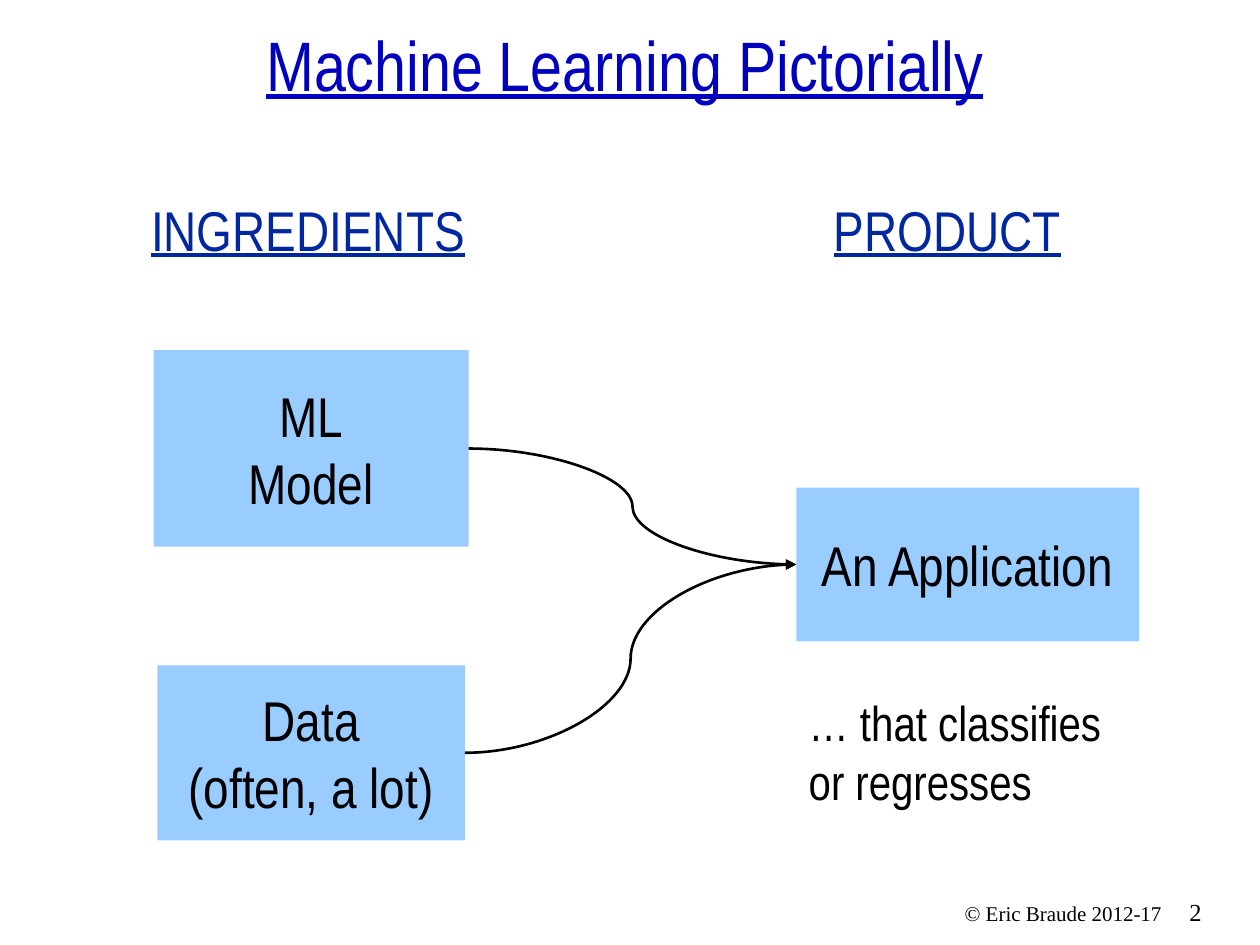
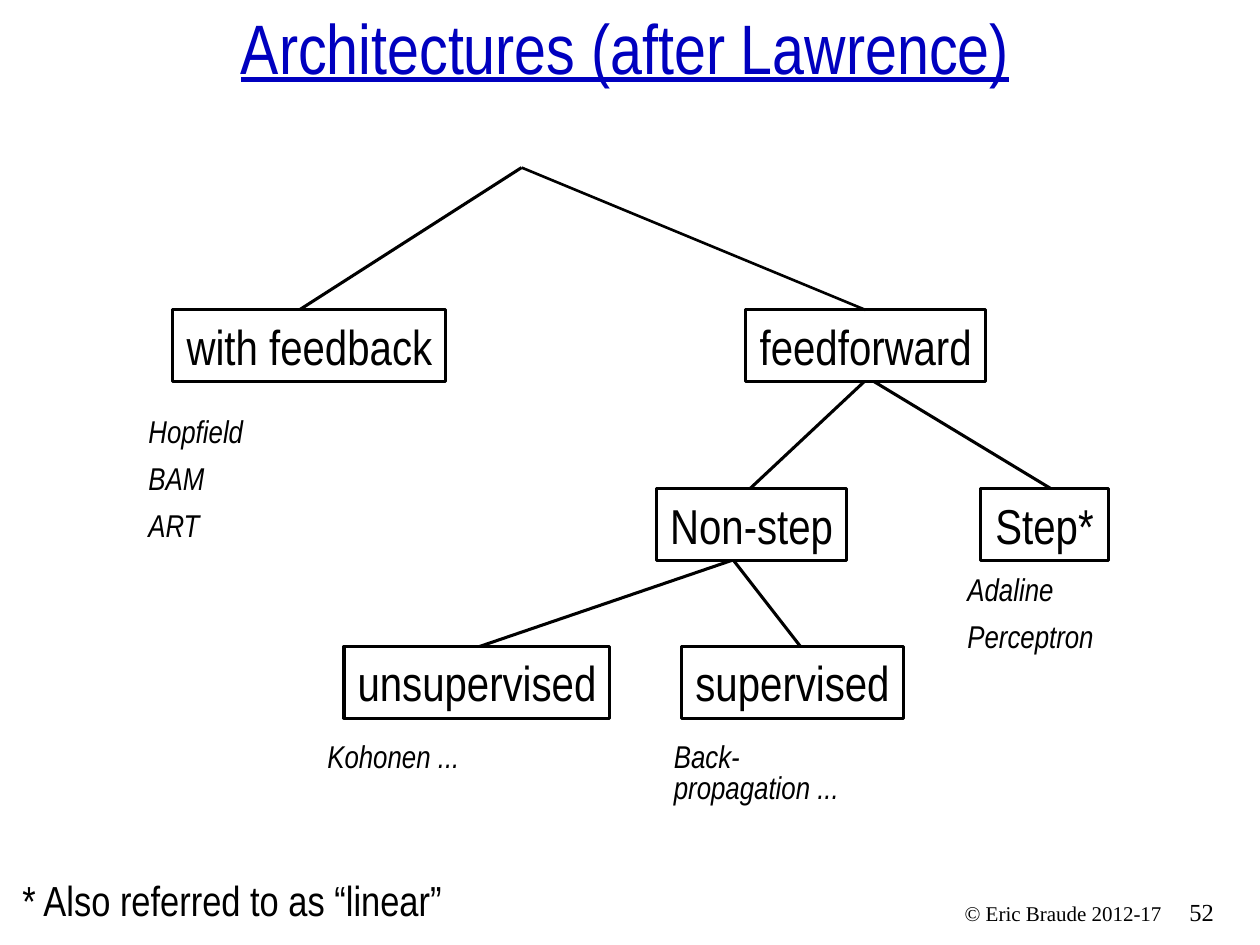
from lxml.etree import SubElement
from pptx import Presentation
from pptx.dml.color import RGBColor
from pptx.enum.shapes import MSO_CONNECTOR as LINK, MSO_SHAPE
from pptx.enum.text import MSO_ANCHOR as ANCHOR, MSO_AUTO_SIZE, PP_ALIGN as ALIGN
from pptx.oxml.ns import qn
from pptx.util import Inches, Pt

COLOURS = {
    "title": "0000BF",
    "heading": "00279F",
    "ink": "000000",
    "block": "99CCFF",
    "paper": "FFFFFF",
}
SANS, SERIF = "Arial Narrow", "Times New Roman"
LEFT_SITE, RIGHT_SITE = 1, 3


def rgb(name):
    """Return the named colour of the palette."""
    return RGBColor.from_string(COLOURS[name])


def write(frame, lines, size, colour="ink", face=SANS, align=ALIGN.LEFT,
          anchor=ANCHOR.TOP, wrap=True, underline=False, italic=False,
          spacing=None, gap=0):
    """Fill a text frame with one paragraph per line."""
    frame.auto_size = MSO_AUTO_SIZE.NONE
    frame.word_wrap = wrap
    frame.vertical_anchor = anchor
    frame.margin_left = frame.margin_right = Inches(0.1)
    frame.margin_top = frame.margin_bottom = Inches(0.05)
    for index, line in enumerate(lines):
        paragraph = frame.add_paragraph() if index else frame.paragraphs[0]
        paragraph.alignment = align
        if spacing:
            paragraph.line_spacing = spacing
        paragraph.space_before = Pt(gap if index else 0)
        run = paragraph.add_run()
        run.text = line
        font = run.font
        font.name, font.size = face, Pt(size)
        font.color.rgb = rgb(colour)
        if underline:
            font.underline = True
        if italic:
            font.italic = True


def add_text(slide, box, lines, size, **style):
    """Add a text box at the given left, top, width and height."""
    label = slide.shapes.add_textbox(*map(Inches, box))
    write(label.text_frame, lines, size, **style)


def add_block(slide, box, lines, size, fill, outline=None):
    """Add a filled rectangle with centred text."""
    block = slide.shapes.add_shape(MSO_SHAPE.RECTANGLE, *map(Inches, box))
    block.shadow.inherit = False
    block.fill.solid()
    block.fill.fore_color.rgb = rgb(fill)
    if outline:
        block.line.color.rgb = rgb("ink")
        block.line.width = Pt(outline)
    else:
        block.line.fill.background()
    write(block.text_frame, lines, size, align=ALIGN.CENTER,
          anchor=ANCHOR.MIDDLE, wrap=False)
    return block


def add_line(slide, kind, ends, width):
    """Add a plain black connector between two points."""
    line = slide.shapes.add_connector(kind, *map(Inches, ends))
    line.line.color.rgb = rgb("ink")
    line.line.width = Pt(width)
    SubElement(line._element.spPr, qn("a:effectLst"))
    return line


def add_arrow(slide, source, target):
    """Curve an arrow from the right of one block to the left of another."""
    arrow = add_line(slide, LINK.CURVE, (0, 0, 1, 1), 1.5)
    arrow.begin_connect(source, RIGHT_SITE)
    arrow.end_connect(target, LEFT_SITE)
    SubElement(arrow.line._get_or_add_ln(), qn("a:tailEnd"), type="triangle")


def add_page(deck, title, title_height, number):
    """Add a slide with its title, copyright line and page number."""
    slide = deck.slides.add_slide(deck.slide_layouts[5])
    heading = slide.shapes.title
    heading.left, heading.top = Inches(0), Inches(0.21)
    heading.width, heading.height = Inches(9.92), Inches(title_height)
    write(heading.text_frame, [title], 40, colour="title", align=ALIGN.CENTER,
          anchor=ANCHOR.BOTTOM, underline=True)
    add_text(slide, (9.34, 7.07, 0.58, 0.33), [number], 14, face=SERIF)
    add_text(slide, (6.65, 7.1, 2.67, 0.3), ["© Eric Braude 2012-17"], 12,
             face=SERIF, align=ALIGN.RIGHT)
    return slide


def add_ingredients(slide, left, top):
    """Place the ingredients heading and blocks, and return the blocks."""
    add_text(slide, (left, top, 2.75, 0.64), ["INGREDIENTS"], 32,
             colour="heading", underline=True)
    model = add_block(slide, (left + 0.12, top + 1.28, 2.5, 1.56),
                      ["ML", "Model"], 32, "block")
    data = add_block(slide, (left + 0.15, top + 3.78, 2.44, 1.39),
                     ["Data", "(often, a lot)"], 32, "block")
    return model, data


def add_product(slide, left, top):
    """Place the product heading, block and remark, and return the block."""
    add_text(slide, (left + 0.2, top, 2.08, 0.64), ["PRODUCT"], 32,
             colour="heading", underline=True)
    add_text(slide, (left, top + 3.95, 2.75, 1.04),
             ["… that classifies or regresses"], 28)
    return add_block(slide, (left, top + 2.37, 2.72, 1.22),
                     ["An Application"], 32, "block")


def add_tree(slide, left, top):
    """Draw the tree of architectures with the examples of each leaf."""
    branches = [
        (1.28, 1.14, 3.06, 0),
        (4.86, 2.56, 5.81, 1.67),
        (7.28, 2.56, 5.81, 1.67),
        (2.7, 3.81, 4.81, 3.09),
        (5.28, 3.81, 4.72, 3.09),
    ]
    nodes = [
        ("with feedback", 0.29, 1.13, 2.17),
        ("feedforward", 4.84, 1.13, 1.9),
        ("Step*", 6.7, 2.55, 1.02),
        ("Non-step", 4.13, 2.55, 1.51),
        ("unsupervised", 1.65, 3.8, 2.11),
        ("supervised", 4.33, 3.8, 1.76),
    ]
    examples = [
        (["Adaline", "Perceptron"], 6.5, 3.2, 0.73),
        (["Back-propagation ..."], 4.17, 4.53, 0.58),
        (["Kohonen ..."], 1.42, 4.53, 0.34),
        (["Hopfield", "BAM", "ART"], 0, 1.95, 1.13),
    ]
    for names, x, y, height in examples:
        add_text(slide, (left + x, top + y, 2, height), names, 18,
                 italic=True, spacing=0.8, gap=9.5)
    for x1, y1, x2, y2 in branches:
        add_line(slide, LINK.STRAIGHT,
                 (left + x1, top + y1, left + x2, top + y2), 1.75)
    for name, x, y, width in nodes:
        add_block(slide, (left + x, top + y, width, 0.57), [name], 28,
                  "paper", outline=1.75)
    add_line(slide, LINK.STRAIGHT,
             (left + 3.06, top, left + 5.79, top + 1.13), 1.5)


def add_pictorial_slide(deck):
    """Show how a model and data lead to an application."""
    slide = add_page(deck, "Machine Learning Pictorially", 0.68, "2")
    ingredients = add_ingredients(slide, 1.1, 1.5)
    application = add_product(slide, 6.32, 1.5)
    for ingredient in ingredients:
        add_arrow(slide, ingredient, application)


def add_architectures_slide(deck):
    """Show the family tree of network architectures."""
    slide = add_page(deck, "Architectures (after Lawrence)", 0.54, "52")
    add_tree(slide, 1.08, 1.33)
    add_text(slide, (0.08, 6.89, 3.57, 0.51),
             ["* Also referred to as “linear”"], 24, wrap=False)


def main():
    """Build and save the deck."""
    deck = Presentation()
    deck.slide_width, deck.slide_height = Inches(10), Inches(7.5)
    add_pictorial_slide(deck)
    add_architectures_slide(deck)
    deck.save("out.pptx")


if __name__ == "__main__":
    main()
